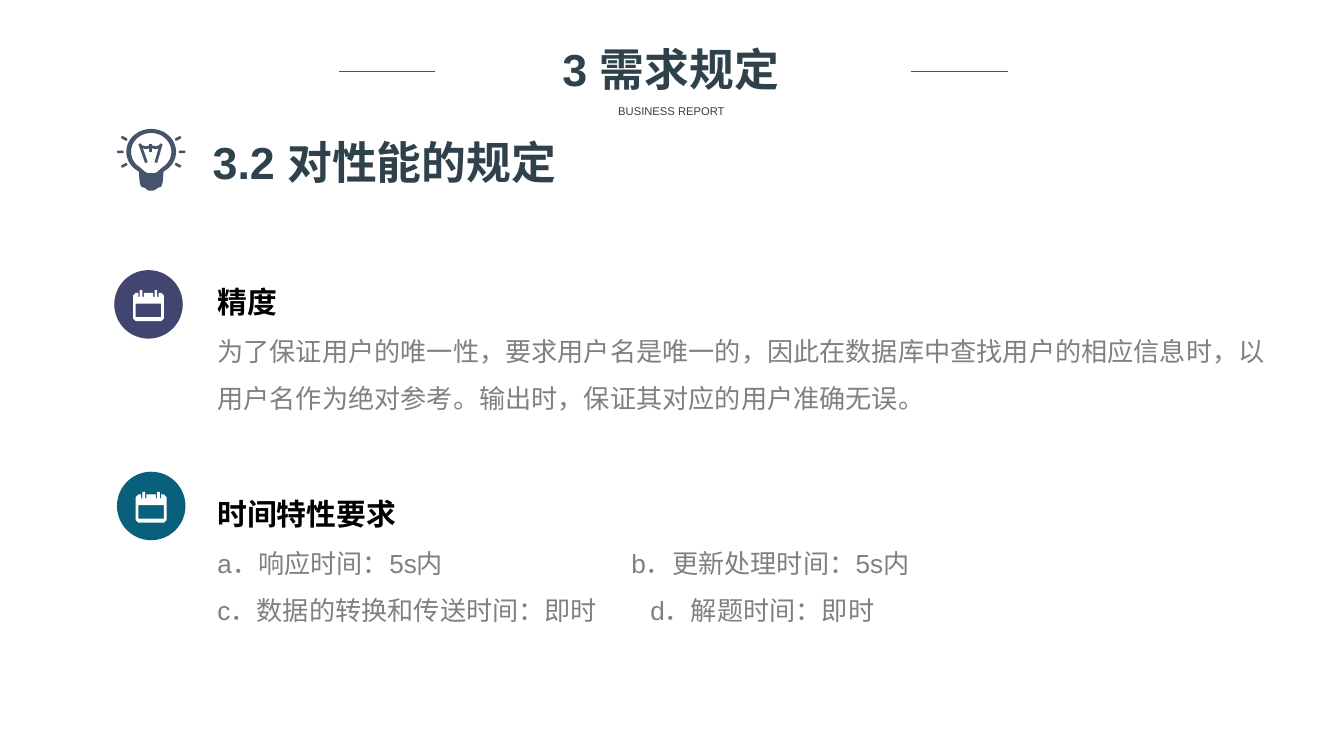
from math import cos, radians, sin

from lxml import etree
from pptx import Presentation
from pptx.dml.color import RGBColor
from pptx.enum.shapes import MSO_CONNECTOR, MSO_SHAPE
from pptx.enum.text import MSO_ANCHOR, MSO_AUTO_SIZE, PP_ALIGN
from pptx.oxml.ns import qn
from pptx.util import Inches, Pt

LINE = MSO_CONNECTOR.STRAIGHT
OVAL = MSO_SHAPE.OVAL
CAPSULE = MSO_SHAPE.ROUNDED_RECTANGLE
CENTER, LEFT = PP_ALIGN.CENTER, PP_ALIGN.LEFT
TOP = MSO_ANCHOR.TOP
NO_FIT = MSO_AUTO_SIZE.NONE
TITLE_ONLY_LAYOUT = 5
COLORS = {
    "title": "2F414B", "icon": "44546A", "heading": "000000", "body": "808080",
    "precision": "434571", "timing": "09607D", "white": "FFFFFF",
}
FONTS = {
    "title": {"name": "Arial", "size": Pt(24), "bold": True},
    "subtitle": {"name": "Arial", "size": Pt(6), "bold": False},
    "heading": {"name": "Arial", "size": Pt(16), "bold": True},
    "body": {"name": "Arial", "size": Pt(14), "bold": False},
}
SECTIONS = [
    {"box": (1.52, 1.93, 8.14, 1.17), "badge": (0.85, 2.01), "color": "precision",
     "heading": "精度",
     "lines": [("为了保证用户的唯一性，要求用户名是唯一的，因此在数据库中查找用户的相应信息时，"
                "以用户名作为绝对参考。输出时，保证其对应的用户准确无误。", None)]},
    {"box": (1.52, 3.51, 7.97, 1.57), "badge": (0.87, 3.51), "color": "timing",
     "heading": "时间特性要求",
     "lines": [("a．响应时间：5s内\tb．更新处理时间：5s内", 3.08),
               ("c．数据的转换和传送时间：即时\td．解题时间：即时", 3.22)]},
]


def rgb(key):
    """Return the named colour."""
    return RGBColor.from_string(COLORS[key])


def place(shape, box):
    """Move a shape to a box given in inches."""
    for side, length in zip(("left", "top", "width", "height"), box):
        setattr(shape, side, Inches(length))


def paint(shape, color):
    """Give a shape a plain fill without line or shadow."""
    shape.shadow.inherit = False
    shape.fill.solid()
    shape.fill.fore_color.rgb = rgb(color)
    shape.line.fill.background()


def write(paragraph, text, style, color, align=LEFT):
    """Write one formatted run."""
    paragraph.alignment = align
    run = paragraph.add_run()
    run.text = text
    for attribute, value in FONTS[style].items():
        setattr(run.font, attribute, value)
    run.font.color.rgb = rgb(color)


def prepare_frame(shape):
    """Make a text frame wrap from the top and return it."""
    frame = shape.text_frame
    for attribute, value in {"word_wrap": True, "auto_size": NO_FIT,
                             "vertical_anchor": TOP}.items():
        setattr(frame, attribute, value)
    return frame


def outline(slide, contours, origin, close=True):
    """Draw contours of inch points relative to an origin as one freeform."""
    moved = [[(Inches(origin[0] + x), Inches(origin[1] + y)) for x, y in contour]
             for contour in contours]
    builder = slide.shapes.build_freeform(*moved[0][0])
    for index, contour in enumerate(moved):
        if index:
            builder.move_to(*contour[0])
        builder.add_line_segments(contour[1:], close=close)
    shape = builder.convert_to_shape()
    shape.shadow.inherit = False
    return shape


def rectangle(left, top, right, bottom):
    """Return the corners of a rectangle."""
    return [(left, top), (right, top), (right, bottom), (left, bottom)]


def arc(center, radii, start, end, steps=48):
    """Return points along an elliptical arc, angles in degrees."""
    angles = [radians(start + (end - start) * i / steps) for i in range(steps + 1)]
    return [(center[0] + radii[0] * cos(a), center[1] + radii[1] * sin(a)) for a in angles]


def add_text(slide, box, text, style):
    """Add a centred line of title text."""
    label = slide.shapes.add_textbox(*map(Inches, box))
    write(prepare_frame(label).paragraphs[0], text, style, "title", CENTER)


def add_header(slide, box):
    """Place the title, its subtitle and the two rules beside it."""
    left, top, width, height = box
    place(slide.shapes.title, box)
    title = prepare_frame(slide.shapes.title)
    write(title.paragraphs[0], "3 需求规定", "title", "title", CENTER)
    add_text(slide, (left + 0.95, top + 0.47, 1.19, 0.2), "BUSINESS REPORT", "subtitle")
    for start in (left - 0.93, left + width + 0.25):
        y = Inches(top + 0.27)
        rule = slide.shapes.add_connector(LINE, Inches(start + 0.72), y, Inches(start), y)
        rule.line.color.rgb = rgb("icon")
        rule.line.width = Pt(0.5)
        etree.SubElement(rule.element.spPr, qn("a:effectLst"))


def add_bulb(slide, origin):
    """Draw the light bulb with its rays and filament."""
    center = (0.255, 0.17)
    glass = arc(center, (0.185, 0.17), 120, 420)
    base = [(0.34, 0.4), (0.33, 0.43), (0.3, 0.44), (0.29, 0.45), (0.27, 0.46),
            (0.24, 0.46), (0.22, 0.45), (0.21, 0.44), (0.18, 0.43), (0.17, 0.4)]
    hollow = arc(center, (0.15, 0.14), 122, 418)
    neck = [(0.3, 0.32), (0.28, 0.33), (0.23, 0.33), (0.21, 0.32)]
    paint(outline(slide, [glass + base, hollow + neck], origin), "icon")
    for side in (-1, 1):
        for x, y, angle in ((0.2, -0.1, -28), (0.23, 0, 0), (0.2, 0.1, 28)):
            ray = slide.shapes.add_shape(CAPSULE, 0, 0, 0, 0)
            place(ray, (origin[0] + center[0] + side * x - 0.025,
                        origin[1] + center[1] + y - 0.01, 0.05, 0.02))
            ray.adjustments[0] = 0.5
            ray.rotation = side * angle
            paint(ray, "icon")
    strokes = [[(0.17, 0.11), (0.22, 0.25)], [(0.33, 0.11), (0.29, 0.25)],
               [(0.25, 0.11), (0.25, 0.17)],
               [(0.18, 0.13), (0.22, 0.14), (0.25, 0.13), (0.29, 0.14), (0.32, 0.13)]]
    filament = outline(slide, strokes, origin, close=False)
    filament.fill.background()
    filament.line.color.rgb = rgb("icon")
    filament.line.width = Pt(1.5)


def add_badge(slide, origin, color):
    """Draw a round badge holding a calendar."""
    disc = slide.shapes.add_shape(OVAL, 0, 0, 0, 0)
    place(disc, (*origin, 0.51, 0.51))
    paint(disc, color)
    page = [(0.02, 0.02), (0.04, 0.02), (0.04, 0.05), (0.08, 0.05), (0.08, 0.02),
            (0.15, 0.02), (0.15, 0.05), (0.19, 0.05), (0.19, 0.02), (0.21, 0.02),
            (0.23, 0.04), (0.23, 0.21), (0.21, 0.23), (0.02, 0.23), (0, 0.21), (0, 0.04)]
    window = rectangle(0.02, 0.1, 0.21, 0.2)
    rings = [rectangle(x, 0, x + 0.02, 0.05) for x in (0.05, 0.16)]
    calendar = outline(slide, [page, window, *rings], (origin[0] + 0.14, origin[1] + 0.15))
    paint(calendar, "white")


def add_section(slide, section):
    """Write a heading and its lines beside a badge."""
    add_badge(slide, section["badge"], section["color"])
    frame = prepare_frame(slide.shapes.add_textbox(*map(Inches, section["box"])))
    rows = [(section["heading"], None)] + section["lines"]
    for index, (text, tab) in enumerate(rows):
        paragraph = frame.add_paragraph() if index else frame.paragraphs[0]
        paragraph.line_spacing = 1.5
        style = "body" if index else "heading"
        write(paragraph, text, style, style)
        if tab:
            stops = etree.SubElement(paragraph._p.get_or_add_pPr(), qn("a:tabLst"))
            etree.SubElement(stops, qn("a:tab"), pos=str(int(Inches(tab))), algn="l")


def main():
    """Build the requirements slide."""
    deck = Presentation()
    deck.slide_width, deck.slide_height = Inches(10), Inches(5.625)
    slide = deck.slides.add_slide(deck.slide_layouts[TITLE_ONLY_LAYOUT])
    add_header(slide, (3.45, 0.26, 3.08, 0.5))
    add_bulb(slide, (0.87, 0.96))
    add_text(slide, (1.32, 0.95, 3.08, 0.5), "3.2 对性能的规定", "title")
    for section in SECTIONS:
        add_section(slide, section)
    deck.save("out.pptx")


if __name__ == "__main__":
    main()
